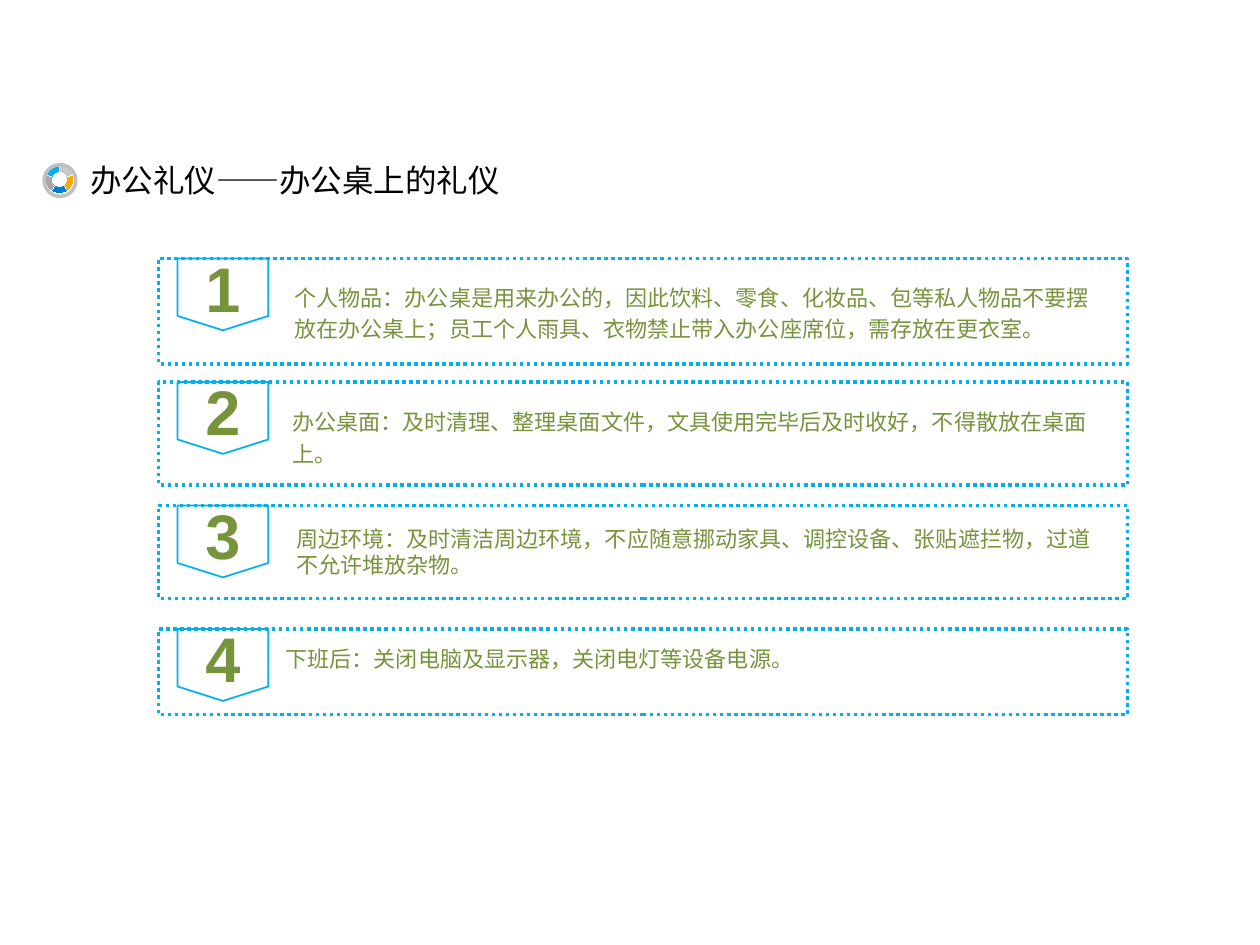
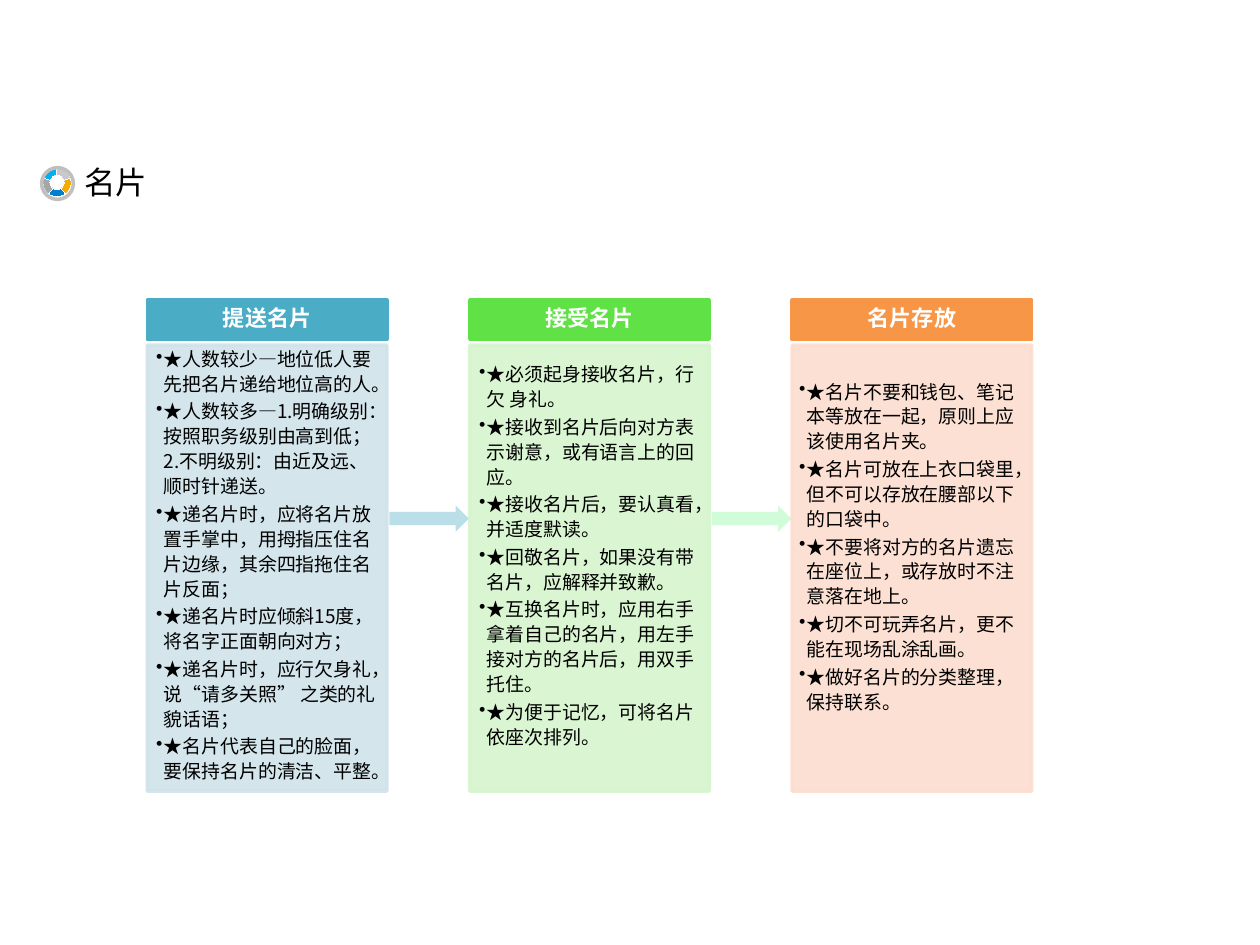
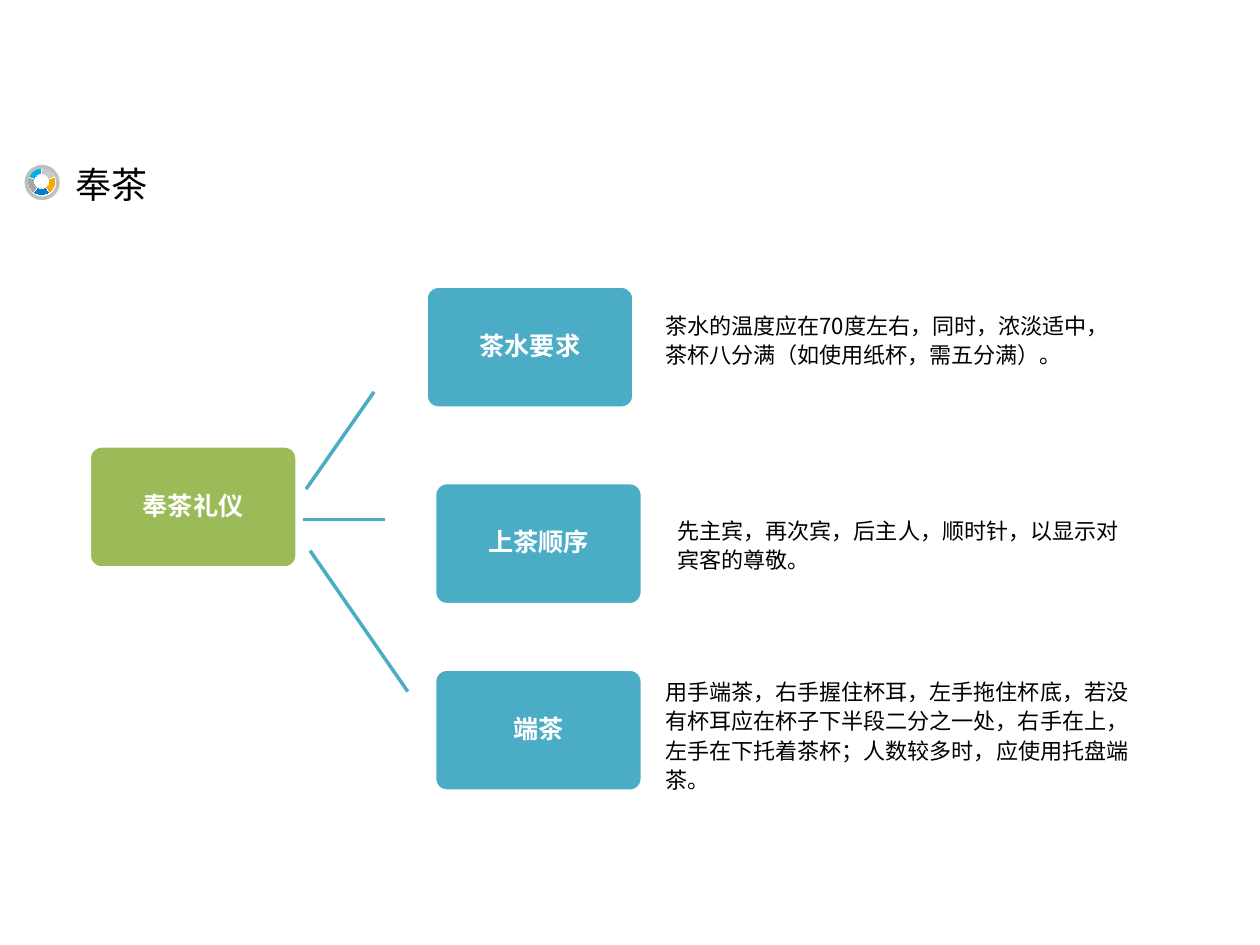
from lxml.etree import SubElement as Sub
from pptx import Presentation
from pptx.chart.data import CategoryChartData as ChartData
from pptx.dml.color import RGBColor as RGB
from pptx.enum.chart import XL_CHART_TYPE as Chart
from pptx.enum.dml import MSO_LINE as Dash
from pptx.enum.shapes import MSO_CONNECTOR as Link, MSO_SHAPE as Kind
from pptx.enum.text import MSO_ANCHOR as Anchor, PP_ALIGN as Align
from pptx.oxml.ns import qn
from pptx.util import Cm, Pt

BLACK = RGB(0x00, 0x00, 0x00)
WHITE = RGB(0xFF, 0xFF, 0xFF)
SKY = RGB(0x00, 0xB0, 0xF0)
OLIVE = RGB(0x77, 0x93, 0x3C)
TEAL = RGB(0x4B, 0xAC, 0xC6)
LEAF = RGB(0x9B, 0xBB, 0x59)
LIME = RGB(0x60, 0xE1, 0x46)
AMBER = RGB(0xF7, 0x96, 0x46)
PALE_TEAL = RGB(0xD0, 0xE3, 0xEA)
PALE_LIME = RGB(0xD6, 0xF4, 0xCE)
PALE_AMBER = RGB(0xFC, 0xDD, 0xCF)
ICE = RGB(0xB7, 0xDE, 0xE8)
MINT = RGB(0x79, 0xF9, 0x97)
SILVER = RGB(0xBF, 0xBF, 0xBF)
SLICES = [RGB(0xC9, 0xC9, 0xCB), RGB(0xF6, 0xAB, 0x00), RGB(0x00, 0x80, 0xCC),
          RGB(0xA6, 0xA6, 0xA6), SKY]
FONT = "Noto Sans CJK SC"

# text, left, top, width, height, indent, line spacing, box height
RULES = [
    ("个人物品：办公桌是用来办公的，因此饮料、零食、化妆品、包等私人物品不要摆放在办公桌上；"
     "员工个人雨具、衣物禁止带入办公座席位，需存放在更衣室。",
     4.83, 5.49, 17.65, 1.55, 0.86, 1.2, 2.13),
    ("办公桌面：及时清理、整理桌面文件，文具使用完毕后及时收好，不得散放在桌面上。",
     4.78, 8.0, 17.7, 1.55, 0.86, 1.2, 2.08),
    ("周边环境：及时清洁周边环境，不应随意挪动家具、调控设备、张贴遮拦物，过道不允许堆放杂物。",
     5.72, 10.46, 16.74, 1.35, 0, 1, 1.88),
    ("下班后：关闭电脑及显示器，关闭电灯等设备电源。",
     4.65, 12.78, 17.96, 0.91, 0.86, 1.2, 1.73),
]

# heading, colour, pale colour, text left, text top, points
STAGES = [
    ("提送名片", TEAL, PALE_TEAL, 3.02, 6.83, [
        "★人数较少—地位低人要先把名片递给地位高的人。",
        "★人数较多—1.明确级别：按照职务级别由高到低；2.不明级别：由近及远、顺时针递送。",
        "★递名片时，应将名片放置手掌中，用拇指压住名片边缘，其余四指拖住名片反面；",
        "★递名片时应倾斜15度，将名字正面朝向对方；",
        "★递名片时，应行欠身礼，说“请多关照” 之类的礼貌话语；",
        "★名片代表自己的脸面，要保持名片的清洁、平整。"]),
    ("接受名片", LIME, PALE_LIME, 9.53, 7.14, [
        "★必须起身接收名片，行欠 身礼。",
        "★接收到名片后向对方表示谢意，或有语言上的回应。",
        "★接收名片后，要认真看，并适度默读。",
        "★回敬名片，如果没有带名片，应解释并致歉。",
        "★互换名片时，应用右手拿着自己的名片，用左手接对方的名片后，用双手托住。",
        "★为便于记忆，可将名片依座次排列。"]),
    ("名片存放", AMBER, PALE_AMBER, 15.98, 7.49, [
        "★名片不要和钱包、笔记本等放在一起，原则上应该使用名片夹。",
        "★名片可放在上衣口袋里，但不可以存放在腰部以下的口袋中。",
        "★不要将对方的名片遗忘在座位上，或存放时不注意落在地上。",
        "★切不可玩弄名片，更不能在现场乱涂乱画。",
        "★做好名片的分类整理，保持联系。"]),
]

# heading, left, top, fill
TEA_BOXES = [
    ("奉茶礼仪", 1.8, 8.99, LEAF),
    ("茶水要求", 8.59, 5.77, TEAL),
    ("上茶顺序", 8.76, 9.73, TEAL),
    ("端茶", 8.76, 13.49, TEAL),
]

# text, top, width, height, left inset
TEA_NOTES = [
    ("茶水的温度应在70度左右，同时，浓淡适中，茶杯八分满（如使用纸杯，需五分满）。",
     5.05, 8.76, 3.58, 0),
    ("先主宾，再次宾，后主人，顺时针，以显示对宾客的尊敬。",
     10.24, 9.65, 1.45, 0.25),
    ("用手端茶，右手握住杯耳，左手拖住杯底，若没有杯耳应在杯子下半段二分之一处，"
     "右手在上，左手在下托着茶杯；人数较多时，应使用托盘端茶。",
     13.28, 9.47, 3.05, 0),
]

TEA_LINKS = [(6.17, 9.86, 7.54, 7.9), (6.1, 10.47, 7.77, 10.47),
             (6.25, 11.1, 8.22, 13.94)]


def write(frame, lines, size, color=BLACK, name=FONT, bold=False, align=Align.LEFT,
          space=1, after=0, indent=0, bullet=False, anchor=Anchor.TOP,
          inset=(0.25, 0.13, 0.25, 0.13)):
    """Fill a text frame with equally styled paragraphs."""
    frame.word_wrap = True
    frame.vertical_anchor = anchor
    (frame.margin_left, frame.margin_top,
     frame.margin_right, frame.margin_bottom) = map(Cm, inset)
    for num, line in enumerate(lines):
        para = frame.add_paragraph() if num else frame.paragraphs[0]
        para.text = line
        para.alignment = align
        para.line_spacing = space
        para.space_after = Pt(after)
        props = para._p.get_or_add_pPr()
        props.set("marL", str(Cm(indent)))
        props.set("indent", str(-Cm(indent) if bullet else 0))
        if bullet:
            para.level = 1
            Sub(props, qn("a:buChar"), char="•")
        font = para.font
        font.size, font.bold, font.name = Pt(size), bold, name
        font.color.rgb = color
        Sub(props.find(qn("a:defRPr")), qn("a:ea"), typeface=FONT)


def note(slide, left, top, width, height, lines, size, **style):
    box = slide.shapes.add_textbox(Cm(left), Cm(top), Cm(width), Cm(height))
    write(box.text_frame, lines, size, **style)


def fade(paint, alpha):
    """Set the opacity, in percent, of a solid fill."""
    for clr in paint.iter(qn("a:srgbClr")):
        Sub(clr, qn("a:alpha"), val=str(alpha * 1000))


def draw(slide, kind, left, top, width, height, fill=None, line=None, weight=2,
         alpha=100):
    shape = slide.shapes.add_shape(kind, Cm(left), Cm(top), Cm(width), Cm(height))
    shape.shadow.inherit = False
    if fill is None:
        shape.fill.background()
    else:
        shape.fill.solid()
        shape.fill.fore_color.rgb = fill
    if line is None:
        shape.line.fill.background()
    else:
        shape.line.color.rgb = line
        shape.line.width = Pt(weight)
    if alpha < 100:
        fade(shape._element.spPr, alpha)
    return shape


def link(slide, *ends):
    line = slide.shapes.add_connector(Link.STRAIGHT, *map(Cm, ends))
    line.line.color.rgb = TEAL
    line.line.width = Pt(2)
    Sub(line._element.spPr, qn("a:effectLst"))


def badge(slide, left, top):
    """Small ring chart that marks the title."""
    data = ChartData()
    data.categories = ["1", "2", "3", "4", "5"]
    data.add_series("Series 1", [20] * 5)
    chart = slide.shapes.add_chart(Chart.DOUGHNUT, Cm(left), Cm(top), Cm(0.86),
                                   Cm(0.69), data).chart
    chart.has_legend = chart.has_title = False
    chart.font.name, chart.font.size = "Calibri", Pt(10)
    chart.font.color.rgb = BLACK
    plot = chart.plots[0]
    plot.vary_by_categories = False
    for num, color in enumerate(SLICES):
        fmt = plot.series[0].points[num].format
        fmt.fill.solid()
        fmt.fill.fore_color.rgb = color
        fmt.line.color.rgb = WHITE
    area = chart._chartSpace.find(".//" + qn("c:plotArea"))
    area.find(".//" + qn("c:holeSize")).set("val", "63")
    layout = area.find(qn("c:layout"))
    if layout is None:
        layout = Sub(area, qn("c:layout"))
        area.insert(0, layout)
    manual = Sub(layout, qn("c:manualLayout"))
    for tag, val in [("layoutTarget", "inner"), ("xMode", "edge"), ("yMode", "edge"),
                     ("x", "0.2"), ("y", "0"), ("w", "0.67"), ("h", "0.92")]:
        Sub(manual, qn("c:" + tag), val=val)
    draw(slide, Kind.OVAL, left + 0.15, top + 0.02, 0.64, 0.64, line=SILVER)


def start(deck, title, left, top, mark, size=18, name=FONT):
    """Add a blank slide with its title and badge."""
    slide = deck.slides.add_slide(deck.slide_layouts[6])
    note(slide, left, top, 13.8, 0.94, [title], size, name=name, space=0.92)
    badge(slide, *mark)
    return slide


def desk(deck):
    slide = start(deck, "办公礼仪——办公桌上的礼仪", 1.57, 3.2, (0.74, 3.3))
    for num, (text, left, top, width, height, indent, space, tall) in enumerate(RULES):
        row = 5.21 + 2.49 * num
        tag = draw(slide, Kind.FLOWCHART_OFFPAGE_CONNECTOR, 3.58, row, 1.83, 1.45,
                   line=SKY, weight=1)
        write(tag.text_frame, [str(num + 1)], 36, OLIVE, "Arial", True, Align.CENTER,
              anchor=Anchor.MIDDLE)
        box = draw(slide, Kind.RECTANGLE, 3.2, row, 19.53, tall, line=SKY)
        box.line.dash_style = Dash.ROUND_DOT
        note(slide, left, top, width, height, [text], 12.6, color=OLIVE,
             indent=indent, space=space)


def cards(deck):
    slide = start(deck, "名片", 1.45, 3.23, (0.69, 3.36))
    step = 6.5
    for num, (head, color, pale, left, top, points) in enumerate(STAGES):
        col = 2.97 + step * num
        bar = draw(slide, Kind.RECTANGLE, col, 6.05, 4.83, 0.79, color, color)
        write(bar.text_frame, [head], 12.6, WHITE, bold=True, align=Align.CENTER,
              space=0.9, anchor=Anchor.MIDDLE, inset=(0.18, 0.1, 0.18, 0.1))
        draw(slide, Kind.RECTANGLE, col, 6.96, 4.83, 8.99, pale, pale, alpha=90)
        note(slide, left, top, 4.83, 8.99, points, 10.8, space=1.1, after=1.6,
             indent=0.15, bullet=True, inset=(0.13, 0.13, 0.18, 0.2))
    for num, (color, alpha) in enumerate([(ICE, 95), (MINT, 35)]):
        draw(slide, Kind.RIGHT_ARROW, 7.85 + step * num, 10.19, 1.6, 0.53, color,
             alpha=alpha)


def tea(deck):
    slide = start(deck, "奉茶", 1.27, 3.23, (0.38, 3.34), 20.7, "Calibri")
    for ends in TEA_LINKS:
        link(slide, *ends)
    for head, left, top, fill in TEA_BOXES:
        box = draw(slide, Kind.ROUNDED_RECTANGLE, left, top, 4.19, 2.46, fill, WHITE)
        box.adjustments[0] = 0.1
        write(box.text_frame, [head], 14.4, WHITE, bold=True, align=Align.CENTER,
              space=0.9, anchor=Anchor.MIDDLE, inset=(0.08,) * 4)
    for text, top, width, height, pad in TEA_NOTES:
        note(slide, 13.41, top, width, height, [text], 12.6, space=1.1,
             anchor=Anchor.MIDDLE, inset=(pad, 0.13, pad or 0.13, 0.13))


def main():
    deck = Presentation()
    deck.slide_width, deck.slide_height = Cm(25.4), Cm(19.05)
    desk(deck)
    cards(deck)
    tea(deck)
    deck.save("out.pptx")


if __name__ == "__main__":
    main()
